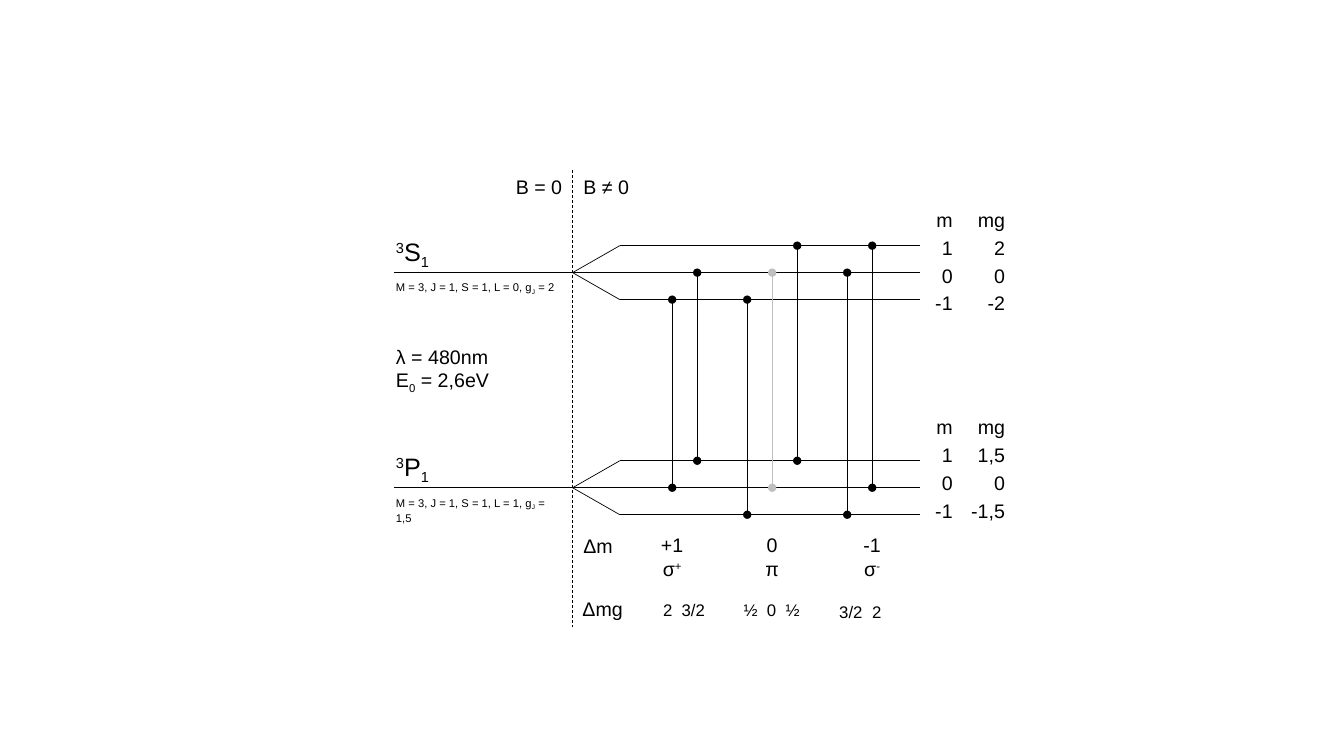
import pptx
import pptx.dml.color
import pptx.enum.dml
import pptx.enum.shapes
import pptx.enum.text
import pptx.oxml.ns
import pptx.util
from lxml import etree

Cm, Pt = pptx.util.Cm, pptx.util.Pt
ALIGN = pptx.enum.text.PP_ALIGN
qn = pptx.oxml.ns.qn
COLORS = {"ink": "000000", "faint": "BFBFBF"}
SUB, SUPER = -25000, 30000

LEFT_X, SPLIT_X, FORK_X, RIGHT_X = 9.93, 14.43, 15.62, 23.19
LABEL_X, FIELD_X = 9.73, 14.45
LEVEL_GAP = 0.68
UPPER_Y, LOWER_Y = 6.87, 12.29
FIRST_X, STEP_X = 16.94, 0.63
M_RIGHT, MG_RIGHT = 24.26, 25.58

# column, upper m, lower m, colour
TRANSITIONS = [
    (0, -1, 0, "ink"), (1, 0, 1, "ink"), (3, -1, -1, "ink"), (4, 0, 0, "faint"),
    (5, 1, 1, "ink"), (7, 0, -1, "ink"), (8, 1, 0, "ink"),
]
# level height, letter, L, g factor, m and mg columns, mg width
TERMS = [
    (UPPER_Y, "S", 0, "2", ["m", "1", "0", "-1"], ["mg", "2", "0", "-2"], 1.19),
    (LOWER_Y, "P", 1, "1,5", ["m", "1", "0", "-1"], ["mg", "1,5", "0", "-1,5"], 1.37),
]
# column, width, paragraphs
POLARISATIONS = [
    (0, 1.07, ["+1", ["σ", ("+", SUPER)]]),
    (4, 0.86, ["0", "π"]),
    (8, 0.97, ["-1", ["σ", ("-", SUPER)]]),
]
# left, top, width, text, tab stops
SPLITTINGS = [
    (16.46, 14.99, 1.6, "2\t3/2", [0.47]),
    (18.49, 14.99, 2.0, "½\t0\t½", [0.59, 1.06]),
    (20.9, 15.04, 1.6, "3/2\t2", [0.83]),
]


def add_line(s, x1, y1, x2, y2, color="ink", dashed=False, dots=False):
    sp = s.shapes.add_connector(
        pptx.enum.shapes.MSO_CONNECTOR.STRAIGHT, Cm(x1), Cm(y1), Cm(x2), Cm(y2))
    sp.line.width = Pt(0.5)
    sp.line.color.rgb = pptx.dml.color.RGBColor.from_string(COLORS[color])
    if dashed:
        sp.line.dash_style = pptx.enum.dml.MSO_LINE.DASH
    spPr = sp._element.spPr
    if dots:
        for end in ("a:headEnd", "a:tailEnd"):
            etree.SubElement(spPr.find(qn("a:ln")), qn(end), type="oval")
    etree.SubElement(spPr, qn("a:effectLst"))


def add_text(s, x, y, w, h, paragraphs, size=14, align=ALIGN.LEFT, before=0, tabs=()):
    """Each paragraph is a string or a list of strings and (text, baseline) pairs."""
    tf = s.shapes.add_textbox(Cm(x), Cm(y), Cm(w), Cm(h)).text_frame
    tf.word_wrap = bool(tabs)
    tf.auto_size = pptx.enum.text.MSO_AUTO_SIZE.SHAPE_TO_FIT_TEXT
    for i, runs in enumerate(paragraphs):
        p = tf.add_paragraph() if i else tf.paragraphs[0]
        for name, value in {"alignment": align, "space_before": Pt(before)}.items():
            setattr(p, name, value)
        if tabs:
            stops = etree.SubElement(p._p.get_or_add_pPr(), qn("a:tabLst"))
            for stop in tabs:
                etree.SubElement(stops, qn("a:tab"), pos=str(int(Cm(stop))), algn="l")
        for run in [runs] if isinstance(runs, str) else runs:
            text, baseline = (run, 0) if isinstance(run, str) else run
            r = p.add_run()
            r.text = text
            for name, value in {"name": "Arial", "size": Pt(size)}.items():
                setattr(r.font, name, value)
            r.font.color.rgb = pptx.dml.color.RGBColor.from_string(COLORS["ink"])
            if baseline:
                r._r.get_or_add_rPr().set("baseline", str(baseline))


def level_y(y, m):
    return y - m * LEVEL_GAP


def add_term(s, y, letter, l, g, m_column, mg_column, mg_width):
    """Draw one level, its three field-split levels and its labels."""
    add_line(s, LEFT_X, y, SPLIT_X, y)
    for m in (1, 0, -1):
        add_line(s, FORK_X, level_y(y, m), SPLIT_X, y)
        add_line(s, FORK_X, level_y(y, m), RIGHT_X, level_y(y, m))
    add_text(s, LABEL_X, y - 1.05, 1.42, 1.02,
             [[("3", SUPER), letter, ("1", SUB)]], size=18)
    add_text(s, LABEL_X, y + 0.08, 4.7, 0.61,
             [[f"M = 3, J = 1, S = 1, L = {l}, g", ("J", SUB), f" = {g}"]], size=8)
    for right, width, column in ((M_RIGHT, 0.97, m_column),
                                 (MG_RIGHT, mg_width, mg_column)):
        add_text(s, right - width, y - 1.75 - 0.2 * l, width, 2.97, column,
                 align=ALIGN.RIGHT, before=3)


def add_transitions(s):
    for column, upper, lower, color in TRANSITIONS:
        x = FIRST_X + column * STEP_X
        add_line(s, x, level_y(UPPER_Y, upper), x, level_y(LOWER_Y, lower),
                 color, dots=True)


def add_selection_rules(s):
    add_text(s, FIELD_X, 13.34, 1.27, 0.86, ["Δm"])
    for column, width, paragraphs in POLARISATIONS:
        center = FIRST_X + column * STEP_X
        add_text(s, center - width / 2, 13.31, width, 1.45, paragraphs,
                 align=ALIGN.CENTER)
    add_text(s, SPLIT_X, 14.91, 1.55, 0.86, ["Δmg"])
    for x, y, width, text, tabs in SPLITTINGS:
        add_text(s, x, y, width, 0.76, [text], size=12, tabs=tabs)


def main():
    prs = pptx.Presentation()
    prs.slide_width, prs.slide_height = Cm(33.87), Cm(19.05)
    s = prs.slides.add_slide(prs.slide_layouts[6])
    add_line(s, SPLIT_X, 4.29, SPLIT_X, 15.8, dashed=True)
    for term in TERMS:
        add_term(s, *term)
    add_transitions(s)
    add_text(s, 12.75, 4.29, 1.68, 0.86, ["B = 0"])
    add_text(s, FIELD_X, 4.29, 1.68, 0.86, ["B ≠ 0"])
    add_text(s, LABEL_X, 8.56, 2.9, 1.45,
             ["λ = 480nm", ["E", ("0", SUB), " = 2,6eV"]])
    add_selection_rules(s)
    prs.save("out.pptx")


if __name__ == "__main__":
    main()
